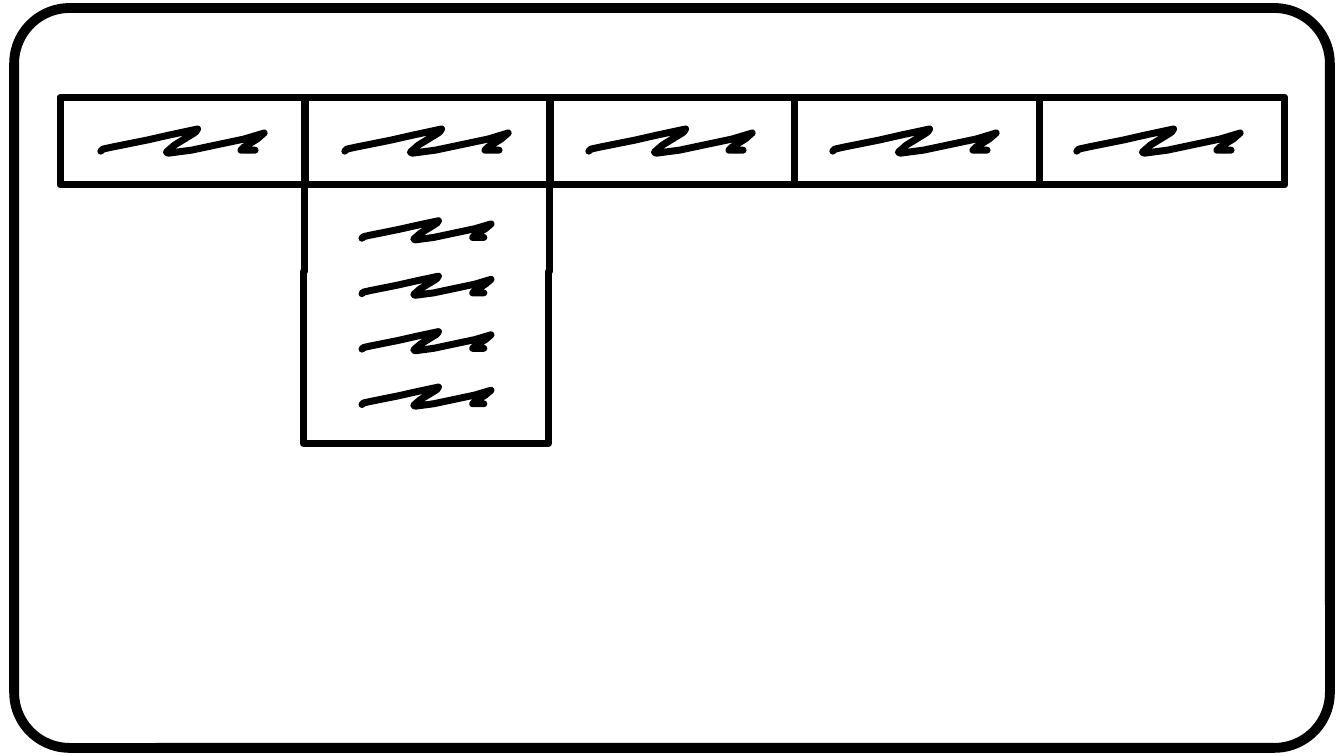
import pptx
import pptx.util
import pptx.dml.color
import pptx.enum.shapes
import pptx.oxml.ns
import lxml.etree

Inches = pptx.util.Inches
SHAPE = pptx.enum.shapes.MSO_SHAPE
BLACK = pptx.dml.color.RGBColor(0, 0, 0)

# Scribble, in hundredths of an inch
STROKE = [
    (0, 22), (2, 20), (11, 18), (46, 11), (68, 6), (96, 0), (94, 3),
    (91, 5), (73, 16), (65, 23), (67, 24), (90, 21), (142, 10),
    (162, 4), (155, 10), (142, 18), (139, 21), (153, 21),
]


def ink(shape, width=5):
    """Give a shape a black outline with round ends and no fill."""
    shape.shadow.inherit = False
    shape.fill.background()
    shape.line.color.rgb = BLACK
    shape.line.width = pptx.util.Pt(width)
    line = shape.element.spPr.find(pptx.oxml.ns.qn("a:ln"))
    line.set("cap", "rnd")
    lxml.etree.SubElement(line, pptx.oxml.ns.qn("a:round"))


def trace(points, close):
    """Draw an outline through points given in inches."""
    spots = [(Inches(x), Inches(y)) for x, y in points]
    pen = slide.shapes.build_freeform(*spots[0])
    pen.add_line_segments(spots[1:], close=close)
    ink(pen.convert_to_shape())


deck = pptx.Presentation()
deck.slide_width = Inches(13.33)
deck.slide_height = Inches(7.5)
slide = deck.slides.add_slide(deck.slide_layouts[6])

# Menu bar and its cells; the second cell belongs to the open menu
LEFT, TOP, WIDTH, HEIGHT = 0.6, 0.97, 12.14, 0.86
CELL = WIDTH / 5
boxes = [(LEFT, WIDTH)] + [(LEFT + CELL * i, CELL) for i in (0, 2, 3, 4)]
for x, width in boxes:
    ink(slide.shapes.add_shape(SHAPE.RECTANGLE, Inches(x), Inches(TOP),
                               Inches(width), Inches(HEIGHT)))

# Open menu
trace([(3.02, TOP), (5.45, TOP), (5.45, 2.69), (5.44, 2.69),
       (5.44, 4.4), (3.01, 4.4), (3.01, 2.69), (3.02, 2.69)], True)

# Scribbled labels: five in the bar, four smaller in the menu
marks = [(1 + 2.42 * i, 1.28, 1) for i in range(5)]
marks += [(3.59, 2.19 + 0.55 * i, 0.79) for i in range(4)]
for x, y, scale in marks:
    trace([(x + px * scale / 100, y + py * scale / 100)
           for px, py in STROKE], False)

# Screen frame
frame = slide.shapes.add_shape(SHAPE.ROUNDED_RECTANGLE, Inches(0.14),
                               Inches(0.08), Inches(13.05), Inches(7.34))
frame.adjustments[0] = 0.075
ink(frame, 7)

deck.save("out.pptx")
